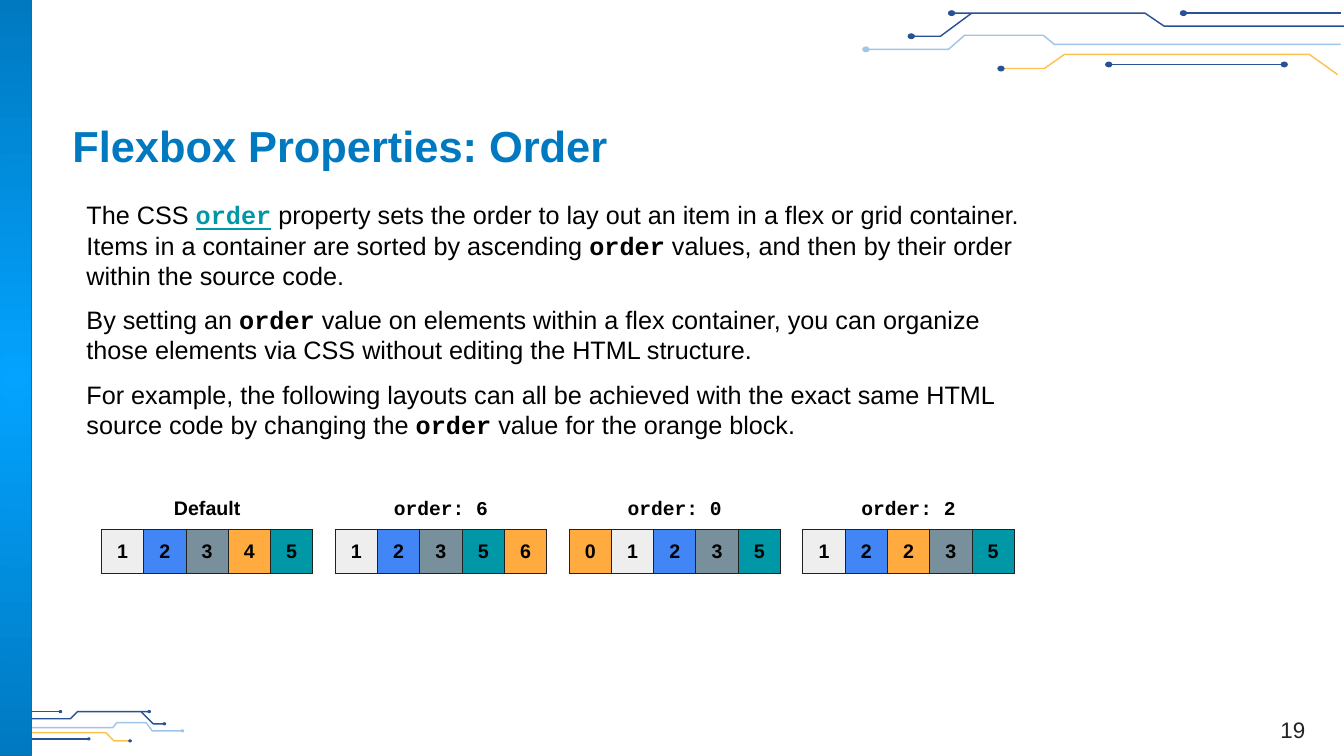
from lxml import etree
from pptx import Presentation, util as u
from pptx.dml.color import RGBColor
from pptx.enum import shapes, text
from pptx.oxml import ns, parse_xml

BLACK = RGBColor(0x00, 0x00, 0x00)
INK = RGBColor(0x22, 0x22, 0x22)
BAR_LINE = RGBColor(0x59, 0x59, 0x59)
TITLE_BLUE = RGBColor(0x00, 0x79, 0xC0)
SKY = RGBColor(0x03, 0xA3, 0xFF)
NAVY = RGBColor(0x28, 0x52, 0x93)
PALE = RGBColor(0x9F, 0xC5, 0xE8)
YELLOW = RGBColor(0xFE, 0xC1, 0x4F)
GREY = RGBColor(0xEE, 0xEE, 0xEE)
BLUE = RGBColor(0x42, 0x85, 0xF4)
SLATE = RGBColor(0x78, 0x90, 0x9C)
ORANGE = RGBColor(0xFF, 0xAB, 0x40)
TEAL = RGBColor(0x00, 0x97, 0xA7)
SANS, MONO = "Arial", "Courier New"


def add_run(p, words, size, color=BLACK, bold=False, font=SANS):
    r = p.add_run()
    r.text = words
    r.font.size = u.Pt(size)
    r.font.name = font
    r.font.bold = bold
    r.font.color.rgb = color
    return r


def add_box(x, y, w, h, anchor=text.MSO_ANCHOR.TOP, inset=7.2):
    tf = s.shapes.add_textbox(u.Pt(x), u.Pt(y), u.Pt(w), u.Pt(h)).text_frame
    tf.word_wrap = True
    tf.vertical_anchor = anchor
    tf.margin_left = tf.margin_right = u.Pt(7.2)
    tf.margin_top = tf.margin_bottom = u.Pt(inset)
    return tf


prs = Presentation()
prs.slide_width, prs.slide_height = u.Pt(960), u.Pt(540)
s = prs.slides.add_slide(prs.slide_layouts[6])

bottom_traces = [
    (NAVY, [(2.9, 513.4), (50.4, 513.4), (55.4, 508.3), (106.6, 508.3)]),
    (NAVY, [(100.8, 508.3), (109.4, 517), (117.4, 517)]),
    (NAVY, [(0, 508.3), (43.2, 508.3)]),
    (YELLOW, [(0.7, 531.4), (8.6, 523.4), (75.6, 523.4), (81.4, 529.2), (92.9, 529.2)]),
    (NAVY, [(15.1, 527.8), (63.4, 527.8)]),
    (PALE, [(5.8, 519.8), (80.6, 519.8), (83.5, 516.2), (104.4, 516.2),
            (108.7, 522), (130.3, 522)]),
]
top_traces = [
    (NAVY, [(960, 18.7), (831.6, 18.7), (817.9, 9.4), (679.7, 9.4)]),
    (NAVY, [(694.1, 9.4), (671.8, 25.9), (650.9, 25.9)]),
    (NAVY, [(957.6, 9.4), (845.3, 9.4)]),
    (YELLOW, [(955.4, 53.3), (935.3, 38.9), (760.3, 38.9), (745.9, 49), (715, 49)]),
    (NAVY, [(917.3, 46.1), (792, 46.1)]),
    (PALE, [(957.6, 31.7), (753.1, 31.7), (745.2, 25.2), (689, 25.2),
            (677.5, 35.3), (618.5, 35.3)]),
]
double_ended = top_traces[4]

for traces, dot_w, dot_h in ((bottom_traces, 1.8, 1.5), (top_traces, 4.4, 3.4)):
    for trace in traces:
        color, route = trace
        points = [(u.Pt(x), u.Pt(y)) for x, y in route]
        if len(points) == 2:
            sp = s.shapes.add_connector(shapes.MSO_CONNECTOR.STRAIGHT, *points[0], *points[1])
            etree.SubElement(sp._element.spPr, ns.qn("a:effectLst"))
        else:
            fb = s.shapes.build_freeform(*points[0])
            fb.add_line_segments(points[1:], close=False)
            sp = fb.convert_to_shape()
            sp.fill.background()
            sp.shadow.inherit = False
        sp.line.color.rgb = color
        sp.line.width = u.Pt(1.03)
        ends = [route[0], route[-1]] if trace is double_ended else [route[-1]]
        for x, y in ends:
            dot = s.shapes.add_shape(shapes.MSO_SHAPE.OVAL, u.Pt(x - dot_w / 2),
                                     u.Pt(y - dot_h / 2), u.Pt(dot_w), u.Pt(dot_h))
            dot.shadow.inherit = False
            dot.fill.solid()
            dot.fill.fore_color.rgb = PALE if color == PALE else NAVY
            dot.line.color.rgb = dot.fill.fore_color.rgb
            dot.line.width = u.Pt(0.75)

bar = s.shapes.add_shape(shapes.MSO_SHAPE.RECTANGLE, 0, 0, u.Pt(22.5), u.Pt(540))
bar.shadow.inherit = False
bar.line.color.rgb = BAR_LINE
bar.line.width = u.Pt(0.75)
bar.fill.gradient()
for stop, color in zip(bar.fill.gradient_stops, (SKY, TITLE_BLUE)):
    stop.color.rgb = color
lin = bar._element.spPr.find(".//" + ns.qn("a:lin"))
lin.getparent().replace(lin, parse_xml(
    f'<a:path {ns.nsdecls("a")} path="circle">'
    '<a:fillToRect l="50000" t="50000" r="50000" b="50000"/></a:path>'))

tf = add_box(54.7, 135.4, 686.9, 193.7)
paragraphs = [
    ["The CSS ", "order", " property sets the order to lay out an item in a flex or grid "
     "container. Items in a container are sorted by ascending ", "order",
     " values, and then by their order within the source code."],
    ["By setting an ", "order", " value on elements within a flex container, you can organize "
     "those elements via CSS without editing the HTML structure."],
    ["For example, the following layouts can all be achieved with the exact same HTML source "
     "code by changing the ", "order", " value for the orange block."],
]
for i, parts in enumerate(paragraphs):
    p = tf.paragraphs[0] if i == 0 else tf.add_paragraph()
    p.space_before = u.Pt(10 if i else 0)
    for j, words in enumerate(parts):
        code = words == "order"
        r = add_run(p, words, 18, bold=code, font=MONO if code else SANS)
        if i == 0 and j == 1:
            r.font.color.rgb = TEAL
            r.font.underline = True

tf = add_box(44.6, 76.3, 852.5, 55.4, text.MSO_ANCHOR.MIDDLE)
add_run(tf.paragraphs[0], "Flexbox Properties: Order", 31, TITLE_BLUE, True)

tf = add_box(892.8, 491.8, 61.2, 42.5, text.MSO_ANCHOR.BOTTOM, 3.6)
tf.paragraphs[0].alignment = text.PP_ALIGN.CENTER
add_run(tf.paragraphs[0], "19", 16, INK)

layouts = [
    ("Default", SANS, "12345", (GREY, BLUE, SLATE, ORANGE, TEAL)),
    ("order: 6", MONO, "12356", (GREY, BLUE, SLATE, TEAL, ORANGE)),
    ("order: 0", MONO, "01235", (ORANGE, GREY, BLUE, SLATE, TEAL)),
    ("order: 2", MONO, "12235", (GREY, BLUE, ORANGE, SLATE, TEAL)),
]
CELL, PITCH = 30.2, 167
for i, (label, font, numbers, colors) in enumerate(layouts):
    x = 72.5 + i * PITCH
    tbl = s.shapes.add_table(1, 5, u.Pt(x), u.Pt(378.4), u.Pt(5 * CELL), u.Pt(CELL)).table
    for j, (number, color) in enumerate(zip(numbers, colors)):
        tbl.columns[j].width = u.Pt(CELL)
        cell = tbl.cell(0, j)
        cell.margin_left = cell.margin_right = u.Pt(7.2)
        cell.margin_top = cell.margin_bottom = u.Pt(7.2)
        cell.vertical_anchor = text.MSO_ANCHOR.MIDDLE
        p = cell.text_frame.paragraphs[0]
        p.alignment = text.PP_ALIGN.CENTER
        add_run(p, number, 14, bold=True)
        tcPr = cell._tc.get_or_add_tcPr()
        for side in ("lnL", "lnR", "lnT", "lnB"):
            tcPr.append(parse_xml(
                f'<a:{side} {ns.nsdecls("a")} w="9525"><a:solidFill>'
                f'<a:srgbClr val="212121"/></a:solidFill></a:{side}>'))
        cell.fill.solid()
        cell.fill.fore_color.rgb = color
    tf = add_box(x, 347, 5 * CELL, 31.7)
    tf.paragraphs[0].alignment = text.PP_ALIGN.CENTER
    add_run(tf.paragraphs[0], label, 14, bold=True, font=font)

prs.save("out.pptx")
